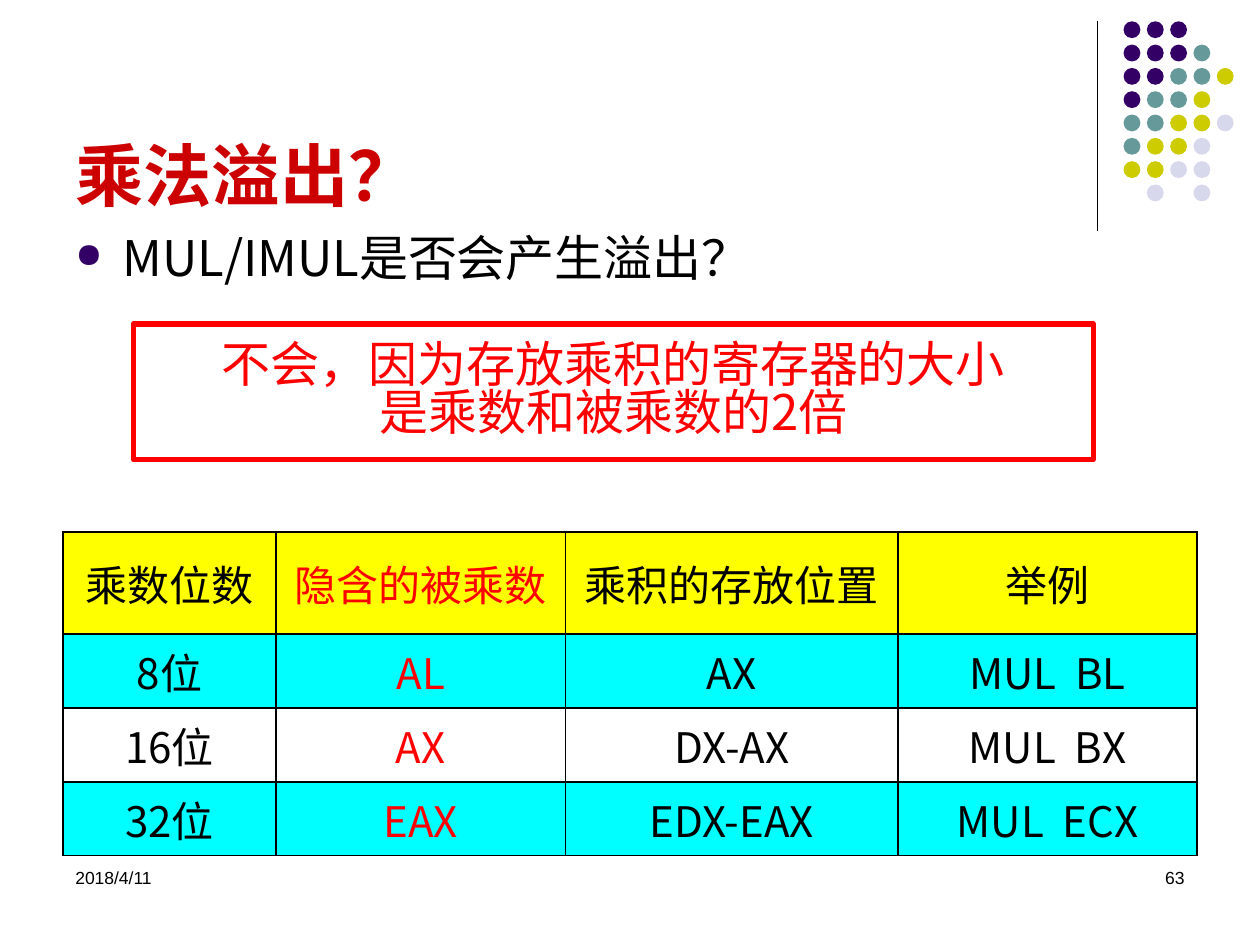
"""Builds the slide on multiplication overflow."""
from lxml import etree
from pptx import Presentation
from pptx.dml.color import RGBColor
from pptx.enum.shapes import MSO_CONNECTOR, MSO_SHAPE
from pptx.enum.text import MSO_ANCHOR, PP_ALIGN
from pptx.oxml.ns import qn
from pptx.util import Cm, Pt

LEFT, CENTER, RIGHT = PP_ALIGN.LEFT, PP_ALIGN.CENTER, PP_ALIGN.RIGHT
TOP, MIDDLE, BOTTOM = MSO_ANCHOR.TOP, MSO_ANCHOR.MIDDLE, MSO_ANCHOR.BOTTOM
STRAIGHT = MSO_CONNECTOR.STRAIGHT
OVAL, RECTANGLE = MSO_SHAPE.OVAL, MSO_SHAPE.RECTANGLE

BLACK, WHITE, RED, TITLE_RED = "000000", "FFFFFF", "FF0000", "CC0000"
YELLOW, CYAN = "FFFF00", "00FFFF"
PURPLE, TEAL, OLIVE, PALE = "330066", "669999", "CCCC00", "D8D8EC"
SANS, LATIN = "Noto Sans CJK SC", "Arial"

DOT_COLORS = {"P": PURPLE, "T": TEAL, "O": OLIVE, "L": PALE}
DOT_ROWS = ["PPP", "PPPT", "PPTTO", "PTTO", "TTOOL", "TOOL", "OOLL", ".L.L"]
TABLE_ROWS = [
    ["乘数位数", "隐含的被乘数", "乘积的存放位置", "举例"],
    ["8位", "AL", "AX", "MUL  BL"],
    ["16位", "AX", "DX-AX", "MUL  BX"],
    ["32位", "EAX", "EDX-EAX", "MUL  ECX"],
]
ROW_FILLS = [YELLOW, CYAN, WHITE, CYAN]
COLUMN_COLORS = [BLACK, RED, BLACK, BLACK]
COLUMN_WIDTHS = [4.29, 5.84, 6.7, 6.03]
ROW_HEIGHTS = [2.06, 1.49, 1.49, 1.49]


def rgb(color):
    return RGBColor.from_string(color)


def add_element(parent, tag, **attributes):
    return etree.SubElement(parent, qn(tag), attributes)


class SlideBuilder:
    def __init__(self, slide, font=SANS):
        self.shapes = slide.shapes
        self.font = font

    def style(self, para, size, color, align=LEFT, bold=False, font=None):
        para.alignment = align
        para.font.size = Pt(size)
        para.font.bold = bold
        para.font.color.rgb = rgb(color)
        para.font.name = font or self.font
        properties = para._p.get_or_add_pPr().find(qn("a:defRPr"))
        add_element(properties, "a:ea", typeface=font or self.font)

    def line(self, x1, y1, x2, y2, color, width):
        rule = self.shapes.add_connector(STRAIGHT, Cm(x1), Cm(y1), Cm(x2), Cm(y2))
        rule.line.color.rgb = rgb(color)
        rule.line.width = Pt(width)
        add_element(rule._element.spPr, "a:effectLst")

    def shape(self, kind, left, top, width, height, fill):
        shape = self.shapes.add_shape(kind, Cm(left), Cm(top), Cm(width), Cm(height))
        shape.shadow.inherit = False
        shape.fill.solid()
        shape.fill.fore_color.rgb = rgb(fill)
        shape.line.fill.background()
        return shape

    def dots(self, left, top, pitch, size):
        for row, codes in enumerate(DOT_ROWS):
            for column, code in enumerate(codes):
                if code in DOT_COLORS:
                    self.shape(OVAL, left + column * pitch, top + row * pitch,
                               size, size, DOT_COLORS[code])

    def text(self, left, top, width, height, words, size, color,
             anchor=TOP, bullet=None, **style):
        box = self.shapes.add_textbox(Cm(left), Cm(top), Cm(width), Cm(height))
        frame = box.text_frame
        frame.word_wrap = True
        frame.vertical_anchor = anchor
        para = frame.paragraphs[0]
        para.text = words
        if bullet:
            properties = para._p.get_or_add_pPr()
            properties.set("marL", str(Cm(0.95)))
            properties.set("indent", str(-Cm(0.95)))
            add_element(add_element(properties, "a:buClr"), "a:srgbClr", val=bullet)
            add_element(properties, "a:buSzPct", val="70000")
            add_element(properties, "a:buChar", char="●")
        self.style(para, size, color, **style)

    def callout(self, left, top, width, height, lines, size, color):
        box = self.shape(RECTANGLE, left, top, width, height, WHITE)
        tint = box._element.spPr.find(qn("a:solidFill"))[0]
        add_element(tint, "a:alpha", val="90000")
        box.line.color.rgb = rgb(color)
        box.line.width = Pt(3)
        frame = box.text_frame
        frame.word_wrap = True
        frame.vertical_anchor = MIDDLE
        frame.text = "\n".join(lines)
        for para in frame.paragraphs:
            para.line_spacing = 0.83
            self.style(para, size, color, CENTER)

    def table(self, left, top, size):
        frame = self.shapes.add_table(
            len(TABLE_ROWS), len(COLUMN_WIDTHS), Cm(left), Cm(top),
            Cm(sum(COLUMN_WIDTHS)), Cm(sum(ROW_HEIGHTS)))
        grid = frame.table
        for column, width in zip(grid.columns, COLUMN_WIDTHS):
            column.width = Cm(width)
        for row, height, words, fill in zip(grid.rows, ROW_HEIGHTS, TABLE_ROWS, ROW_FILLS):
            row.height = Cm(height)
            for cell, word, color in zip(row.cells, words, COLUMN_COLORS):
                self.cell(cell, word, size, color, fill)

    def cell(self, cell, word, size, color, fill):
        cell.text = word
        cell.vertical_anchor = MIDDLE
        self.style(cell.text_frame.paragraphs[0], size, color, CENTER)
        properties = cell._tc.get_or_add_tcPr()
        for side in ("a:lnL", "a:lnR", "a:lnT", "a:lnB"):
            border = add_element(properties, side, w=str(Pt(1)))
            add_element(add_element(border, "a:solidFill"), "a:srgbClr", val=BLACK)
        cell.fill.solid()
        cell.fill.fore_color.rgb = rgb(fill)


def main():
    deck = Presentation()
    deck.slide_width, deck.slide_height = Cm(25.4), Cm(19.05)
    page = SlideBuilder(deck.slides.add_slide(deck.slide_layouts[6]))
    page.line(22.12, 0.43, 22.12, 4.65, BLACK, 0.75)
    page.dots(22.65, 0.43, 0.47, 0.34)
    page.text(18.2, 17.35, 5.93, 1.27, "63", 10, BLACK, align=RIGHT, font=LATIN)
    page.text(1.27, 17.35, 5.93, 1.27, "2018/4/11", 10, BLACK, font=LATIN)
    page.text(1.27, 1.27, 22.86, 3.2, "乘法溢出？", 39, TITLE_RED, anchor=BOTTOM, bold=True)
    page.text(1.27, 4.47, 22.86, 5.82, "MUL/IMUL是否会产生溢出？", 28, BLACK, bullet=PURPLE)
    page.table(1.27, 10.72, 24)
    page.callout(2.69, 6.53, 19.35, 2.74,
                 ["不会，因为存放乘积的寄存器的大小", "是乘数和被乘数的2倍"], 28, RED)
    deck.save("out.pptx")


if __name__ == "__main__":
    main()
